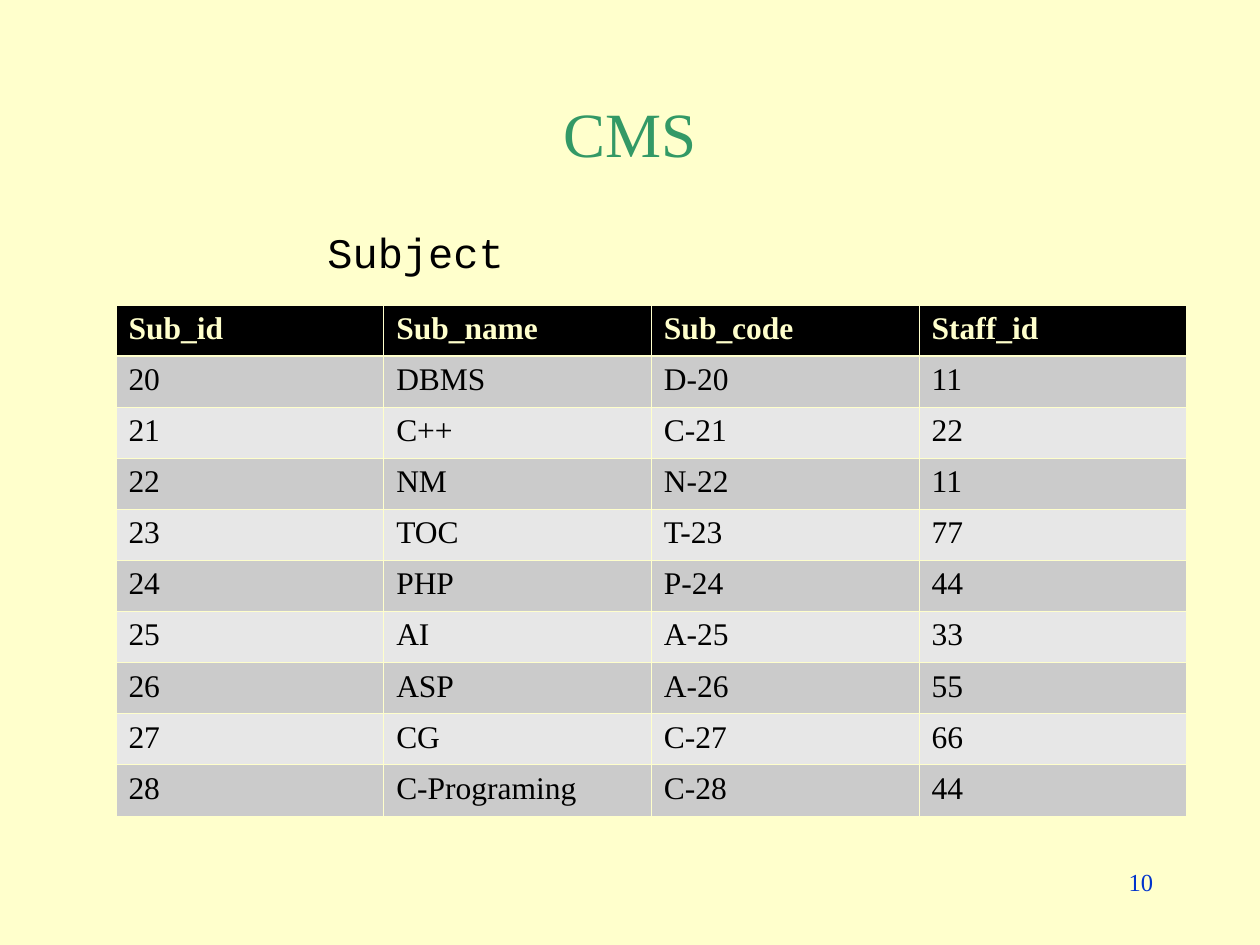
from dataclasses import dataclass
from typing import Any

from lxml import etree
from pptx import Presentation
from pptx import util as u
from pptx.dml.color import RGBColor
from pptx.enum import text
from pptx.oxml import ns

WIDTH, HEIGHT = u.Inches(10), u.Inches(7.5)
CREAM = RGBColor(0xFF, 0xFF, 0xCC)
GREEN = RGBColor(0x33, 0x99, 0x66)
BLUE = RGBColor(0x00, 0x33, 0xCC)
BLACK = RGBColor(0x00, 0x00, 0x00)
BANDS = (RGBColor(0xCB, 0xCB, 0xCB), RGBColor(0xE7, 0xE7, 0xE7))
SERIF, MONO = "Times New Roman", "Courier New"
THIN, THICK = u.Pt(0.45), u.Pt(1.47)

SUBJECTS = (
    ("Sub_id", "Sub_name", "Sub_code", "Staff_id"),
    ("20", "DBMS", "D-20", "11"),
    ("21", "C++", "C-21", "22"),
    ("22", "NM", "N-22", "11"),
    ("23", "TOC", "T-23", "77"),
    ("24", "PHP", "P-24", "44"),
    ("25", "AI", "A-25", "33"),
    ("26", "ASP", "A-26", "55"),
    ("27", "CG", "C-27", "66"),
    ("28", "C-Programing", "C-28", "44"),
)


@dataclass(frozen=True)
class Box:
    left: float
    top: float
    width: float
    height: float

    def lengths(self) -> tuple[int, int, int, int]:
        return (int(self.left * WIDTH), int(self.top * HEIGHT),
                int(self.width * WIDTH), int(self.height * HEIGHT))


@dataclass(frozen=True)
class Label:
    words: str
    box: Box
    size: int
    font: str
    color: RGBColor
    align: Any = text.PP_ALIGN.LEFT
    wrap: bool = True


TITLE = Label("CMS", Box(0.075, 0.09, 0.85, 0.1), 36, SERIF, GREEN,
              text.PP_ALIGN.CENTER)
LABELS = (
    Label("Subject", Box(0.25, 0.2333, 0.16, 0.0667), 24, MONO, BLACK, wrap=False),
    Label("10", Box(0.717, 0.911, 0.208, 0.0667), 14, SERIF, BLUE,
          text.PP_ALIGN.RIGHT),
)
TABLE_BOX = Box(0.092, 0.3227, 0.85, 0.541)


def write(tf: Any, words: str, size: int, font: str, color: RGBColor,
          align: Any = text.PP_ALIGN.LEFT, bold: bool = False) -> None:
    p = tf.paragraphs[0]
    p.alignment = align
    r = p.add_run()
    r.text = words
    for name, value in {"size": u.Pt(size), "name": font, "bold": bold}.items():
        setattr(r.font, name, value)
    r.font.color.rgb = color


def fill_label(sp: Any, label: Label) -> None:
    for name, value in zip(("left", "top", "width", "height"), label.box.lengths()):
        setattr(sp, name, value)
    sp.text_frame.word_wrap = label.wrap
    write(sp.text_frame, label.words, label.size, label.font, label.color, label.align)


def set_borders(cell: Any, widths: dict[str, int]) -> None:
    tc_pr = cell._tc.get_or_add_tcPr()
    for i, (side, width) in enumerate(widths.items()):
        ln = etree.Element(ns.qn(f"a:ln{side}"), w=str(width))
        fill = etree.SubElement(ln, ns.qn("a:solidFill"))
        etree.SubElement(fill, ns.qn("a:srgbClr"), val=str(CREAM))
        tc_pr.insert(i, ln)


def add_subject_table(s: Any) -> None:
    n_rows, n_cols = len(SUBJECTS), len(SUBJECTS[0])
    table = s.shapes.add_table(n_rows, n_cols, *TABLE_BOX.lengths()).table
    for i, row in enumerate(SUBJECTS):
        header = i == 0
        for j, words in enumerate(row):
            cell = table.cell(i, j)
            cell.fill.solid()
            cell.fill.fore_color.rgb = BLACK if header else BANDS[(i - 1) % 2]
            write(cell.text_frame, words, 18, SERIF,
                  CREAM if header else BLACK, bold=header)
            set_borders(cell, {"L": THIN, "R": THIN,
                               "T": THICK if i == 1 else THIN,
                               "B": THICK if header else THIN})


def main() -> None:
    prs = Presentation()
    prs.slide_width, prs.slide_height = WIDTH, HEIGHT
    s = prs.slides.add_slide(prs.slide_layouts[5])
    s.background.fill.solid()
    s.background.fill.fore_color.rgb = CREAM
    fill_label(s.shapes.title, TITLE)
    s.shapes.title.text_frame.vertical_anchor = text.MSO_ANCHOR.MIDDLE
    add_subject_table(s)
    for label in LABELS:
        fill_label(s.shapes.add_textbox(*label.box.lengths()), label)
    prs.save("out.pptx")


if __name__ == "__main__":
    main()
